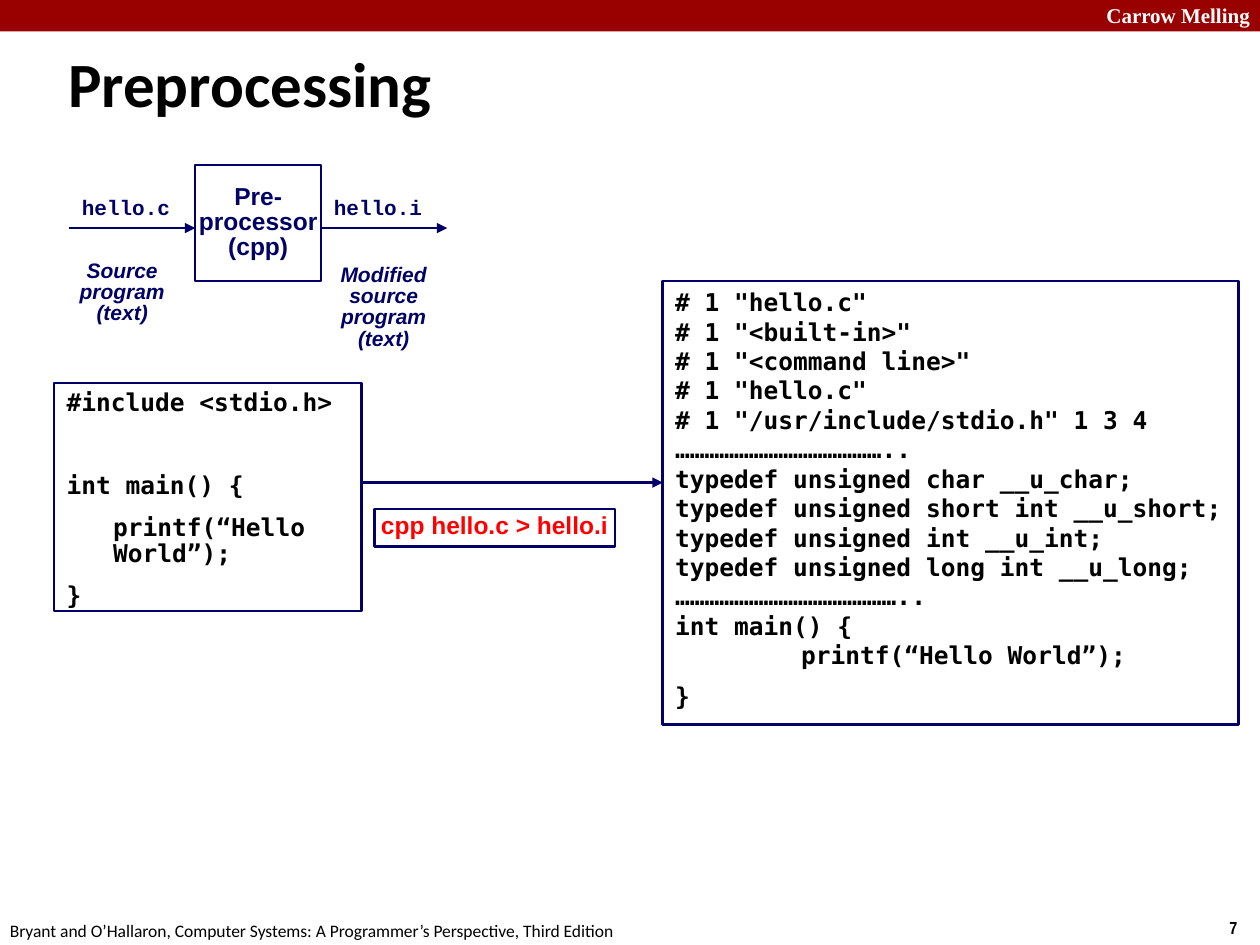
from lxml import etree
from pptx import Presentation
from pptx import util as u
from pptx.dml.color import RGBColor
from pptx.enum import shapes, text
from pptx.oxml.ns import qn

NAVY, BLACK, WHITE = "000066", "000000", "FFFFFF"
MONO = "DejaVu Sans Mono"
LEFT, MID, RIGHT = text.PP_ALIGN.LEFT, text.PP_ALIGN.CENTER, text.PP_ALIGN.RIGHT
TOP, HALF = text.MSO_ANCHOR.TOP, text.MSO_ANCHOR.MIDDLE
STEP = 1  # width of one stage in the flow
EDGE = 0.55  # left end of the flow
FLOW = 1.81  # height of the flow arrows


def hue(code):
    return RGBColor.from_string(code)


def write(shape, lines, size, font, color=BLACK, bold=True, slant=False,
          align=LEFT, anchor=TOP, space=1.0, wrap=False, pad=0.1):
    """Fill a shape; a line is text or (text, indent, space before, spacing)."""
    frame = shape.text_frame
    frame.word_wrap = wrap
    frame.auto_size = text.MSO_AUTO_SIZE.NONE
    frame.vertical_anchor = anchor
    frame.margin_left = frame.margin_right = u.Inches(pad)
    frame.margin_top = frame.margin_bottom = u.Inches(0.05)
    for i, line in enumerate(lines):
        words, dent, gap, lead = (line, 0, 0, space) if isinstance(line, str) else line
        para = frame.add_paragraph() if i else frame.paragraphs[0]
        para.alignment, para.line_spacing = align, lead
        para.space_before = u.Pt(gap)
        if dent:
            props = para._p.get_or_add_pPr()
            props.set("marL", str(u.Inches(dent)))
            props.set("indent", "0")
        run = para.add_run()
        run.text = words
        run.font.size, run.font.name = u.Pt(size), font
        run.font.bold, run.font.italic = bold, slant
        run.font.color.rgb = hue(color)


def label(slide, area, lines, size, font, **style):
    shape = slide.shapes.add_textbox(*map(u.Inches, area))
    write(shape, lines, size, font, **style)


def box(slide, area, line=None, width=1.5, fill=None):
    shape = slide.shapes.add_shape(shapes.MSO_SHAPE.RECTANGLE, *map(u.Inches, area))
    shape.shadow.inherit = False
    if fill:
        shape.fill.solid()
        shape.fill.fore_color.rgb = hue(fill)
    else:
        shape.fill.background()
    if line:
        shape.line.color.rgb = hue(line)
        shape.line.width = u.Pt(width)
    else:
        shape.line.fill.background()
    return shape


def arrow(slide, start, end, y, width):
    link = slide.shapes.add_connector(
        shapes.MSO_CONNECTOR.STRAIGHT, *map(u.Inches, (start, y, end, y)))
    link.line.color.rgb = hue(NAVY)
    link.line.width = u.Pt(width)
    etree.SubElement(link.line._get_or_add_ln(), qn("a:tailEnd"), type="triangle")
    etree.SubElement(link._element.spPr, qn("a:effectLst"))


def frame_page(slide):
    box(slide, (0, 0, 10, 0.25), fill="990000")
    label(slide, (8.42, -0.03, 1.6, 0.3), ["Carrow Melling"], 12,
          "Times New Roman", color=WHITE, align=RIGHT)
    label(slide, (9.66, 7.23, 0.34, 0.27), ["7"], 10, "Arial Narrow")
    label(slide, (-0.02, 7.25, 5.08, 0.27),
          ["Bryant and O’Hallaron, Computer Systems: "
           "A Programmer’s Perspective, Third Edition"],
          10, "Calibri", bold=False)


def head(slide):
    title = slide.shapes.title
    title.left, title.top, title.width, title.height = map(
        u.Inches, (0.44, 0.27, 9.53, 0.86))
    write(title, ["Preprocessing"], 36, "Calibri", anchor=HALF, space=0.84, wrap=True)


def flow(slide):
    stage = box(slide, (EDGE + STEP, 1.31, STEP, 0.92), NAVY, 1)
    write(stage, ["Pre-", "processor", "(cpp)"], 14, "Arial", color=NAVY,
          align=MID, anchor=HALF, space=0.84)
    files = [
        (0, "hello.c", (0.53, 2.02, 0.88, 0.61), ["Source", "program", "(text)"]),
        (2, "hello.i", (2.6, 2.06, 0.89, 0.77),
         ["Modified", "source", "program", "(text)"]),
    ]
    for col, name, area, note in files:
        x = EDGE + col * STEP
        arrow(slide, x, x + STEP, FLOW, 1)
        label(slide, (x, FLOW - 0.3, 0.9, 0.29), [name], 12, "Courier New",
              color=NAVY, align=MID, anchor=HALF, space=0.95)
        label(slide, area, note, 12, "Arial", color=NAVY, slant=True,
              align=MID, anchor=HALF, space=0.84)


def code(slide):
    call, close = "printf(“Hello World”);", ("}", 0, 8.8, 0.89)
    source = [
        ("#include <stdio.h>", 0, 0, 0.94),
        ("int main() {", 0, 32.5, 0.89),
        (call, 0.37, 8.8, 0.89),
        close,
    ]
    result = [
        '# 1 "hello.c"',
        '# 1 "<built-in>"',
        '# 1 "<command line>"',
        '# 1 "hello.c"',
        '# 1 "/usr/include/stdio.h" 1 3 4',
        "……………………………………..",
        "typedef unsigned char __u_char;",
        "typedef unsigned short int __u_short;",
        "typedef unsigned int __u_int;",
        "typedef unsigned long int __u_long;",
        "………………………………………..",
        "int main() {",
        (call, 1, 0, 1.0),
        close,
    ]
    for area, lines in [((0.43, 3.04, 2.44, 1.81), source),
                        ((5.26, 2.23, 4.57, 3.52), result)]:
        write(box(slide, area, NAVY), lines, 14, MONO, wrap=True)
    arrow(slide, 2.87, 5.26, 3.83, 1.5)
    write(box(slide, (2.97, 4.04, 1.91, 0.3), NAVY), ["cpp hello.c > hello.i"],
          14, "Arial", color="FF0000", align=MID, space=0.84, pad=0.05)


def main():
    deck = Presentation()
    deck.slide_width, deck.slide_height = u.Inches(10), u.Inches(7.5)
    slide = deck.slides.add_slide(deck.slide_layouts[5])
    frame_page(slide)
    head(slide)
    flow(slide)
    code(slide)
    deck.save("out.pptx")


if __name__ == "__main__":
    main()
